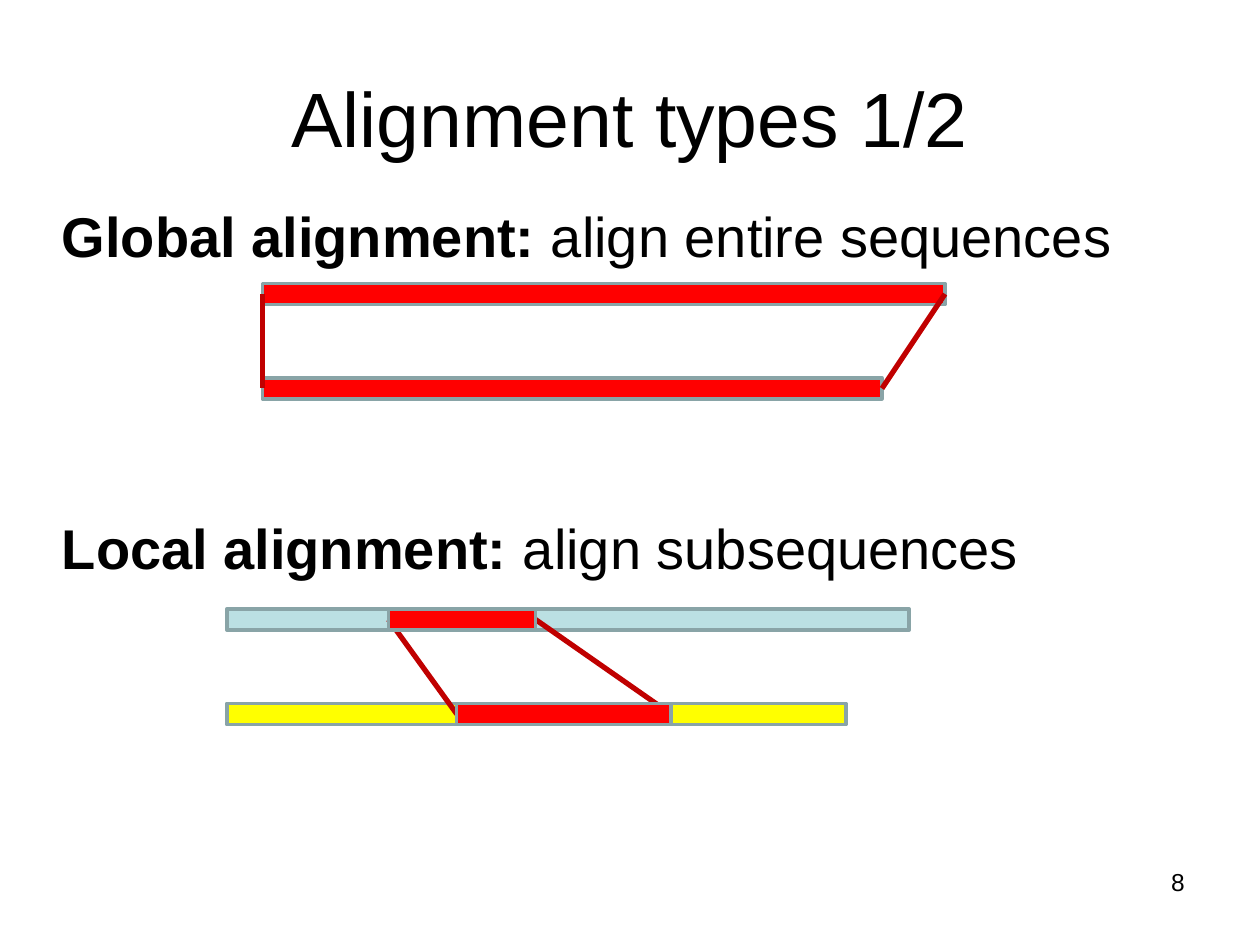
from lxml import etree
from pptx import Presentation
from pptx.dml.color import RGBColor
from pptx.enum.shapes import MSO_CONNECTOR, MSO_SHAPE
from pptx.enum.text import MSO_ANCHOR, PP_ALIGN
from pptx.oxml.ns import qn
from pptx.util import Inches, Pt

STRAIGHT = MSO_CONNECTOR.STRAIGHT
RECTANGLE = MSO_SHAPE.RECTANGLE
TOP, MIDDLE = MSO_ANCHOR.TOP, MSO_ANCHOR.MIDDLE
LEFT, CENTER, RIGHT = PP_ALIGN.LEFT, PP_ALIGN.CENTER, PP_ALIGN.RIGHT
LEFT_SIDE, RIGHT_SIDE = 1, 3
CELL = Inches(1) / 12
BAR_ROWS = 2

color = RGBColor.from_string


def cells(*counts):
    return [round(count * CELL) for count in counts]


def add_bar(column, row, columns, fill):
    bar = page.shapes.add_shape(RECTANGLE, *cells(column, row, columns, BAR_ROWS))
    bar.shadow.inherit = False
    bar.fill.solid()
    bar.fill.fore_color.rgb = color(fill)
    bar.line.color.rgb = color("89A4A7")
    bar.line.width = Pt(2)
    return bar


deck = Presentation()
deck.slide_width, deck.slide_height = cells(120, 90)
page = deck.slides.add_slide(deck.slide_layouts[6])

texts = [
    ((86, 82, 28, 6.2), RIGHT, TOP, 14, 0.05, 0, [("8", False)]),
    ((6, 3.6, 108, 15), CENTER, MIDDLE, 44, 0.05, 0, [("Alignment types 1/2", False)]),
    ((4, 18, 107, 8), LEFT, TOP, 32, 0.1, 0.06,
     [("Global alignment: ", True), ("align entire sequences", False)]),
    ((4, 47.75, 100, 8.5), LEFT, TOP, 32, 0.1, 0.06,
     [("Local alignment:", True), (" align subsequences", False)]),
]
for place, align, anchor, size, top_inset, indent, spans in texts:
    box = page.shapes.add_textbox(*cells(*place))
    frame = box.text_frame
    frame.word_wrap = True
    frame.vertical_anchor = anchor
    frame.margin_top = Inches(top_inset)
    para = frame.paragraphs[0]
    para.alignment = align
    if indent:
        para._p.get_or_add_pPr().set("marL", str(Inches(indent)))
    para.font.name = "Arial"
    para.font.size = Pt(size)
    para.font.color.rgb = color("000000")
    for words, bold in spans:
        span = para.add_run()
        span.text = words
        span.font.bold = bold

global_pair = [add_bar(25, 27, 65, "FF0000"), add_bar(25, 36, 59, "FF0000")]
add_bar(21.6, 58, 65, "BBE0E3")
add_bar(21.6, 67, 59, "FFFF00")
local_pair = [add_bar(37, 58, 14, "FF0000"), add_bar(43.5, 67, 20.4, "FF0000")]

for upper, lower in (global_pair, local_pair):
    for side in (LEFT_SIDE, RIGHT_SIDE):
        link = page.shapes.add_connector(STRAIGHT, 0, 0, 0, 0)
        link.begin_connect(upper, side)
        link.end_connect(lower, side)
        link.line.color.rgb = color("C00000")
        link.line.width = Pt(3)
        etree.SubElement(link.element.spPr, qn("a:effectLst"))

for bar in reversed(local_pair):
    page.shapes.element.append(bar.element)

deck.save("out.pptx")
